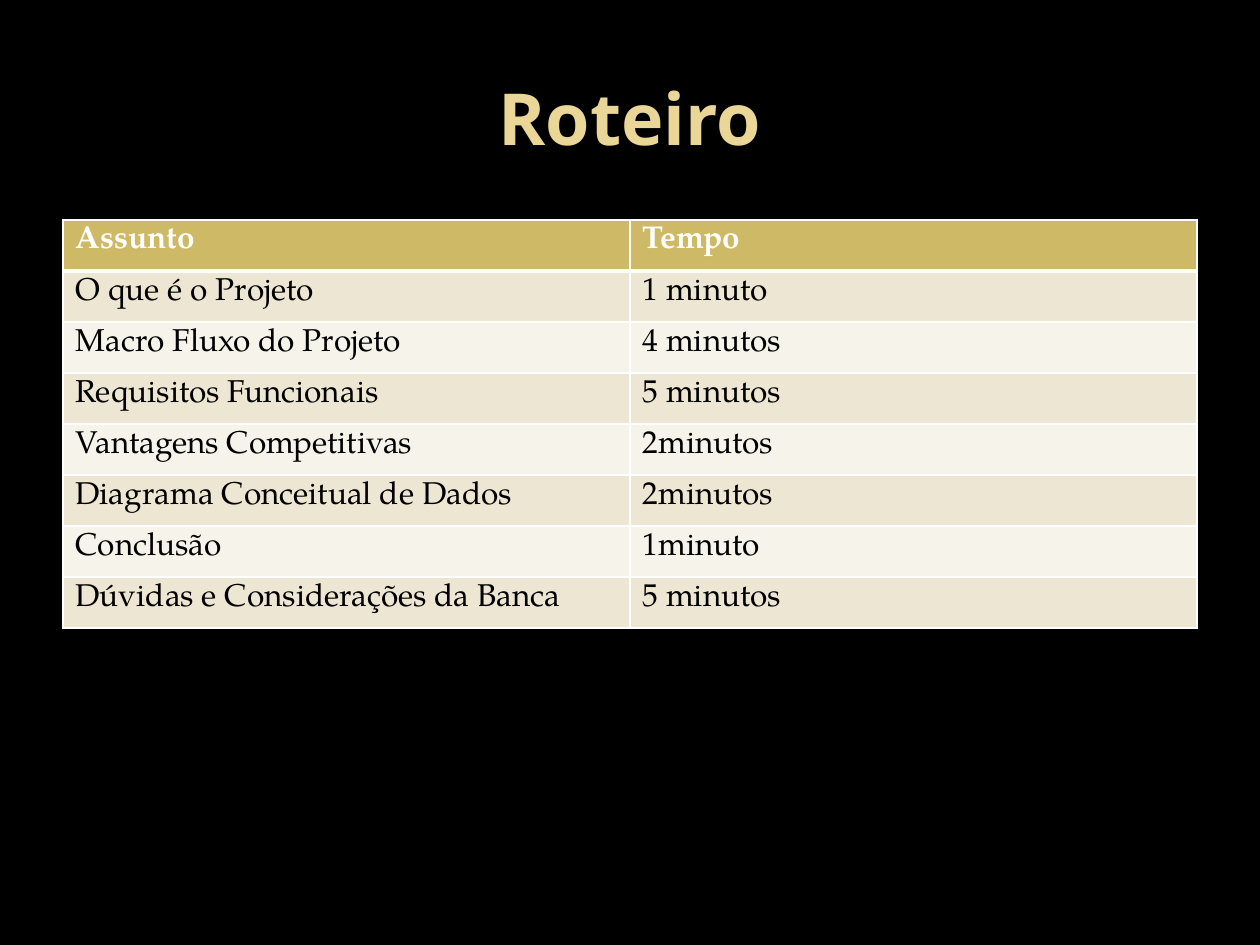
import pptx
import pptx.dml.color
import pptx.enum.text
import pptx.oxml
import pptx.oxml.ns
import pptx.util

PX = 914400 / 126
COLORS = {
    "background": "000000",
    "title": "EAD696",
    "header": "CEB966",
    "odd": "EDE6D3",
    "even": "F6F3EA",
    "border": "FFFFFF",
    "header_text": "FFFFFF",
    "body_text": "000000",
}
AGENDA = [
    ("Assunto", "Tempo"),
    ("O que é o Projeto", "1 minuto"),
    ("Macro Fluxo do Projeto", "4 minutos"),
    ("Requisitos Funcionais", "5 minutos"),
    ("Vantagens Competitivas", "2minutos"),
    ("Diagrama Conceitual de Dados", "2minutos"),
    ("Conclusão", "1minuto"),
    ("Dúvidas e Considerações da Banca", "5 minutos"),
]
COLUMN_WIDTH, ROW_HEIGHT = 567, 51


def px(*lengths):
    return [pptx.util.Emu(round(length * PX)) for length in lengths]


def style_font(font, name, size, color, bold):
    font.name = name
    font.size = pptx.util.Pt(size)
    font.bold = bold
    font.color.rgb = pptx.dml.color.RGBColor.from_string(COLORS[color])


deck = pptx.Presentation()
deck.slide_width, deck.slide_height = px(1260, 945)
slide = deck.slides.add_slide(deck.slide_layouts[6])
slide.background.fill.solid()
slide.background.fill.fore_color.rgb = pptx.dml.color.RGBColor.from_string(COLORS["background"])

# Title
title = slide.shapes.add_textbox(*px(63, 38, 1134, 157)).text_frame
title.word_wrap = True
title.vertical_anchor = pptx.enum.text.MSO_ANCHOR.MIDDLE
heading = title.paragraphs[0]
heading.text = "Roteiro"
heading.alignment = pptx.enum.text.PP_ALIGN.CENTER
style_font(heading.font, "Open Sans", 41, "title", True)

# Agenda table
agenda = slide.shapes.add_table(
    len(AGENDA), 2, *px(63, 220, 2 * COLUMN_WIDTH, len(AGENDA) * ROW_HEIGHT)
).table
for row, entries in enumerate(AGENDA):
    is_header = row == 0
    fill = "header" if is_header else "odd" if row % 2 else "even"
    for column, entry in enumerate(entries):
        cell = agenda.cell(row, column)
        cell.text = entry
        style_font(cell.text_frame.paragraphs[0].font, "TeX Gyre Pagella", 18,
                   "header_text" if is_header else "body_text", is_header)
        cell.fill.solid()
        cell.fill.fore_color.rgb = pptx.dml.color.RGBColor.from_string(COLORS[fill])

        # Thin borders, with a thick rule under the header
        borders = {"lnL": 1, "lnR": 1, "lnT": 3 if row == 1 else 1, "lnB": 3 if is_header else 1}
        properties = cell._tc.get_or_add_tcPr()
        for position, (side, width) in enumerate(borders.items()):
            properties.insert(position, pptx.oxml.parse_xml(
                f'<a:{side} {pptx.oxml.ns.nsdecls("a")} w="{pptx.util.Pt(width)}">'
                f'<a:solidFill><a:srgbClr val="{COLORS["border"]}"/></a:solidFill></a:{side}>'
            ))

deck.save("out.pptx")
